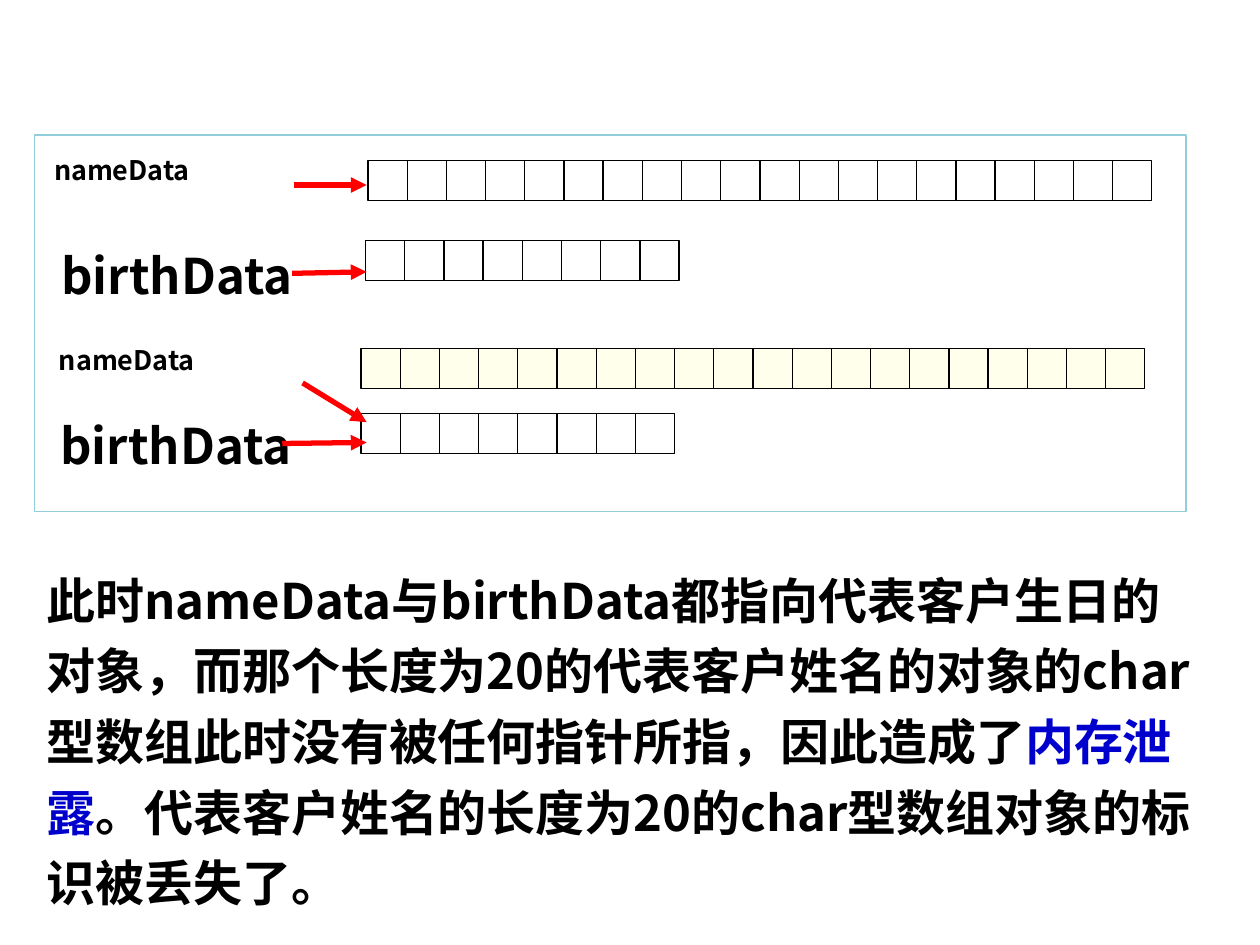
import pptx
import pptx.util
import pptx.dml.color
import pptx.enum.shapes
import pptx.enum.text
import pptx.oxml.ns
import lxml.etree

Cm = pptx.util.Cm
Pt = pptx.util.Pt
qn = pptx.oxml.ns.qn
RECTANGLE = pptx.enum.shapes.MSO_SHAPE.RECTANGLE
STRAIGHT = pptx.enum.shapes.MSO_CONNECTOR.STRAIGHT

FONT = "Noto Sans CJK SC"
BLACK, WHITE, RED, BLUE, YELLOW = "000000", "FFFFFF", "FF0000", "0000CC", "FFFF00"

# Content; all places are in centimetres
PANEL = (0.69, 2.72, 23.22, 7.59)
CELL_WIDTH, CELL_HEIGHT = 1.58, 0.81
ARRAYS = [  # left, top, number of cells, fill, opacity in percent
    (7.42, 3.23, 10, WHITE, 100),
    (7.37, 4.85, 4, WHITE, 100),
    (7.28, 7.02, 10, YELLOW, 8),
    (7.28, 8.33, 4, WHITE, 100),
]
LABELS = [  # text, box, size, line spacing
    ("nameData", (1.09, 3.23, 5.41, 0.71), 15.4, 0.8),
    ("birthData", (1.24, 4.95, 5.23, 1.55), 28, 1.0),
    ("nameData", (1.19, 7.06, 5.28, 0.69), 15.4, 0.8),
    ("birthData", (1.22, 8.38, 5.28, 1.35), 28, 1.0),
]
ARROWS = [  # start x, start y, end x, end y
    (5.92, 3.73, 7.39, 3.73),
    (5.89, 5.51, 7.39, 5.48),
    (5.69, 8.94, 7.39, 8.92),
    (6.1, 7.72, 7.39, 8.51),
]
EXPLANATION_BOX = (0.69, 11.13, 23.8, 7.37)
EXPLANATION = [
    ("此时nameData与birthData都指向代表客户生日的对象，而那个长度为20的代表客户姓名的对象的"
     "char型数组此时没有被任何指针所指，因此造成了", BLACK),
    ("内存泄露", BLUE),
    ("。代表客户姓名的长度为20的char型数组对象的标识被丢失了。", BLACK),
]


def color(hex_text):
    return pptx.dml.color.RGBColor.from_string(hex_text)


def add_rectangle(box, fill=None, line=None, opacity=100):
    shape = slide.shapes.add_shape(RECTANGLE, *map(Cm, box))
    shape.shadow.inherit = False
    if fill:
        shape.fill.solid()
        shape.fill.fore_color.rgb = color(fill)
        if opacity < 100:
            rgb = shape.fill._xPr.find(".//" + qn("a:srgbClr"))
            lxml.etree.SubElement(rgb, qn("a:alpha"), val=str(opacity * 1000))
    else:
        shape.fill.background()
    if line:
        shape.line.color.rgb = color(line)
        shape.line.width = Pt(0.75)
    else:
        shape.line.fill.background()
    return shape


def add_line(ends=(0, 0, 0, 0), line=BLACK, width=0.75, arrow=False):
    connector = slide.shapes.add_connector(STRAIGHT, *map(Cm, ends))
    connector.line.color.rgb = color(line)
    connector.line.width = Pt(width)
    if arrow:
        lxml.etree.SubElement(connector.line._get_or_add_ln(), qn("a:tailEnd"), type="triangle")
    lxml.etree.SubElement(connector._element.spPr, qn("a:effectLst"))
    return connector


def write_text(shape, runs, size=28, line_spacing=1.0, margins=(0, 0), space_after=0):
    frame = shape.text_frame
    frame.word_wrap = True
    frame.vertical_anchor = pptx.enum.text.MSO_ANCHOR.TOP
    frame.margin_left = frame.margin_right = Cm(margins[0])
    frame.margin_top = frame.margin_bottom = Cm(margins[1])
    paragraph = frame.paragraphs[0]
    paragraph.alignment = pptx.enum.text.PP_ALIGN.LEFT
    paragraph.line_spacing = line_spacing
    paragraph.space_after = Pt(space_after)
    for text, text_color in runs:
        run = paragraph.add_run()
        run.text = text
        run.font.name = FONT
        run.font.size = Pt(size)
        run.font.bold = True
        run.font.color.rgb = color(text_color)
        lxml.etree.SubElement(run.font._element, qn("a:ea"), typeface=FONT)


presentation = pptx.Presentation()
presentation.slide_width, presentation.slide_height = Cm(25.4), Cm(19.05)
slide = presentation.slides.add_slide(presentation.slide_layouts[6])

# Frame around the diagram
add_rectangle(PANEL, line="92CDDC")

# Character arrays: every cell is halved by a line
for left, top, count, fill, opacity in ARRAYS:
    cells = [
        add_rectangle((left + i * CELL_WIDTH, top, CELL_WIDTH, CELL_HEIGHT), fill, BLACK, opacity)
        for i in range(count)
    ]
    for cell in cells:
        divider = add_line()
        divider.begin_connect(cell, 0)
        divider.end_connect(cell, 2)

# Pointer names and pointers
for text, box, size, line_spacing in LABELS:
    write_text(add_rectangle(box, WHITE), [(text, BLACK)], size=size, line_spacing=line_spacing)
for ends in ARROWS:
    add_line(ends, RED, 3, arrow=True)

# Explanation
explanation = slide.shapes.add_textbox(*map(Cm, EXPLANATION_BOX))
write_text(explanation, EXPLANATION, line_spacing=1.2, margins=(0.25, 0.13), space_after=6)
explanation.text_frame.auto_size = pptx.enum.text.MSO_AUTO_SIZE.SHAPE_TO_FIT_TEXT

presentation.save("out.pptx")
